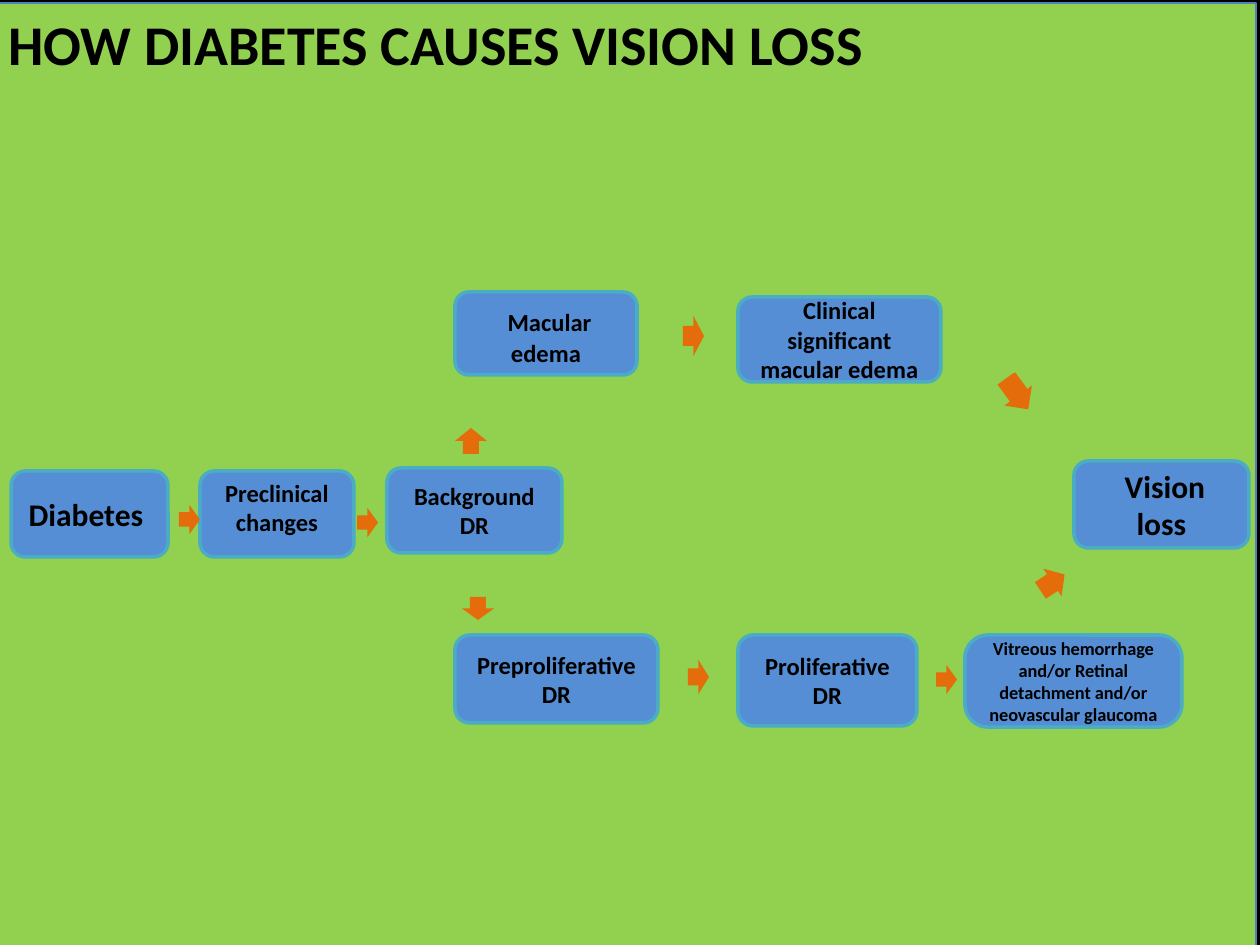
from pptx import Presentation
from pptx import util as u
from pptx.dml.color import RGBColor
from pptx.enum import shapes, text

PX = 914400 / 126
W, H = 1260, 945
FONT = "Calibri"
BLACK, GREEN, BORDER = "000000", "92D050", "4F81BD"
BLUE, TEAL, ORANGE = "558ED5", "4BACC6", "E46C0A"
KIND = shapes.MSO_SHAPE

TITLE = "HOW DIABETES CAUSES VISION LOSS"

STAGES = [
    (["Preclinical changes"], [14], (200, 471, 154, 86)),
    ([" ", "Macular edema"], [18, 14], (455, 292, 182, 83)),
    (["Proliferative DR"], [14], (738, 635, 179, 91)),
    (["Diabetes "], [18], (11, 471, 157, 86)),
    (["Background DR"], [14], (387, 468, 175, 85)),
    (["Clinical significant macular edema"], [14], (738, 297, 203, 85)),
    (["Vitreous hemorrhage and/or Retinal detachment and/or neovascular glaucoma"],
     [10.5], (965, 635, 217, 92)),
    (["Preproliferative DR"], [14], (455, 635, 203, 88)),
    ([" Vision loss"], [18], (1074, 461, 175, 87)),
]
CORNERS = {"Vitreous": 0.25}
RAISED = {"Preclinical": 20}

ARROWS = [
    (KIND.RIGHT_ARROW, (179, 505, 21, 29)),
    (KIND.RIGHT_ARROW, (357, 508, 21, 29)),
    (KIND.RIGHT_ARROW, (683, 316, 21, 40)),
    (KIND.RIGHT_ARROW, (688, 660, 21, 34)),
    (KIND.RIGHT_ARROW, (936, 665, 21, 29)),
    (KIND.UP_ARROW, (455, 428, 32, 26)),
    (KIND.DOWN_ARROW, (462, 597, 32, 23)),
]
TILTED = [
    (KIND.RIGHT_ARROW, (998, 377, 38, 34), 54),
    (KIND.RECTANGLE, (1002, 379, 26, 20), 54),
    (KIND.RIGHT_ARROW, (1038, 566, 29, 33), 326.5),
]


def px(n):
    return u.Emu(round(n * PX))


def rgb(value):
    return RGBColor.from_string(value)


def add(slide, kind, box, fill, line=None, width=0):
    sp = slide.shapes.add_shape(kind, *map(px, box))
    sp.shadow.inherit = False
    sp.fill.solid()
    sp.fill.fore_color.rgb = rgb(fill)
    if line:
        sp.line.color.rgb = rgb(line)
        sp.line.width = u.Pt(width)
    else:
        sp.line.fill.background()
    return sp


def write(sp, runs, sizes, align, anchor):
    tf = sp.text_frame
    tf.word_wrap = True
    tf.vertical_anchor = anchor
    p = tf.paragraphs[0]
    p.alignment = align
    p.font.name = FONT
    p.font.bold = True
    p.font.color.rgb = rgb(BLACK)
    p.font.size = u.Pt(sizes[-1])
    for words, size in zip(runs, sizes):
        r = p.add_run()
        r.text = words
        if size != sizes[-1]:
            r.font.size = u.Pt(size)
    return tf


def main():
    prs = Presentation()
    prs.slide_width, prs.slide_height = px(W), px(H)
    slide = prs.slides.add_slide(prs.slide_layouts[6])
    slide.background.fill.solid()
    slide.background.fill.fore_color.rgb = rgb(BLACK)

    panel = add(slide, KIND.RECTANGLE, (-4, 3, W, H), GREEN, BORDER, 0.75)
    write(panel, [TITLE], [32], text.PP_ALIGN.LEFT, text.MSO_ANCHOR.TOP)

    for runs, sizes, box in STAGES:
        sp = add(slide, KIND.ROUNDED_RECTANGLE, box, BLUE, TEAL, 2)
        tf = write(sp, runs, sizes, text.PP_ALIGN.CENTER, text.MSO_ANCHOR.MIDDLE)
        key = runs[0].split(" ")[0]
        if key in CORNERS:
            sp.adjustments[0] = CORNERS[key]
        if key in RAISED:
            tf.margin_bottom = px(RAISED[key])

    for kind, box, angle in TILTED:
        sp = add(slide, kind, box, ORANGE)
        sp.rotation = angle
        if kind == KIND.RIGHT_ARROW:
            sp.adjustments[0] = 0.6

    for kind, box in ARROWS:
        add(slide, kind, box, ORANGE)

    prs.save("out.pptx")


if __name__ == "__main__":
    main()
